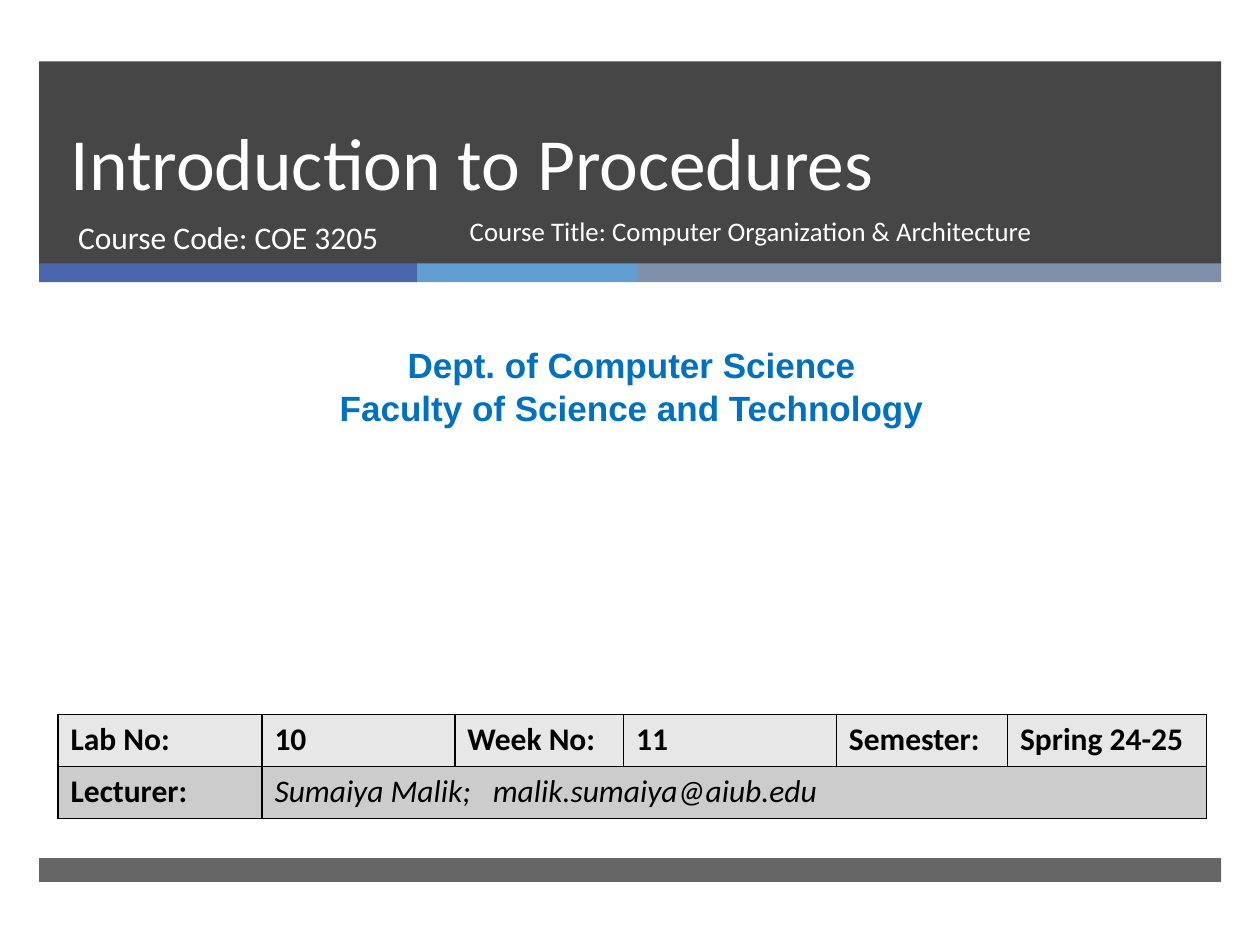
from dataclasses import dataclass
from itertools import accumulate

from lxml import etree
from pptx import Presentation
from pptx.dml.color import RGBColor
from pptx.enum import shapes, text
from pptx.oxml import ns
from pptx.util import Cm, Pt


@dataclass(frozen=True)
class Theme:
    dark: str = "262626"
    white: str = "FFFFFF"
    black: str = "000000"
    blue: str = "0070C0"
    strip: tuple = ("4A66AC", "629DD1", "7F8FA9")
    rows: tuple = ("E7E7E7", "CCCCCC")
    face: str = "Calibri"
    alt: str = "Arial"
    head: float = 42
    body: float = 18
    note: float = 15.3
    dept: float = 20


@dataclass(frozen=True)
class Box:
    left: float
    top: float
    width: float
    height: float

    def cm(self) -> tuple:
        return tuple(Cm(v) for v in (self.left, self.top, self.width, self.height))


@dataclass(frozen=True)
class Bar:
    box: Box
    color: str
    alpha: int = 100


T = Theme()
LEFT, WIDE = 0.79, 23.83
PARTS = (7.62, 4.45, 11.76)
STARTS = accumulate(PARTS[:-1], initial=LEFT)
BARS = [
    Bar(Box(LEFT, 1.24, WIDE, 4.09), T.dark, 85),
    *(Bar(Box(x, 5.31, w, 0.38), c) for x, w, c in zip(STARTS, PARTS, T.strip)),
    Bar(Box(LEFT, 17.3, WIDE, 0.48), T.dark, 70),
]
COLS = (4.11, 3.89, 3.4, 4.29, 3.45, 4.01)
ROW = 1.05
CELLS = (
    ("Lab No:", "10", "Week No:", "11", "Semester:", "Spring 24-25"),
    ("Lecturer:", "Sumaiya Malik;\tmalik.sumaiya@aiub.edu"),
)
EDGES = ("lnL", "lnR", "lnT", "lnB")


def put(item, vals: dict) -> None:
    for key, val in vals.items():
        setattr(item, key, val)


def node(base, tag: str, **attrs):
    return etree.SubElement(base, ns.qn(f"a:{tag}"), attrs)


def style(par, size: float, color: str, face: str = T.face, form=None, **font) -> None:
    """Format a paragraph (form) and all its text (font)."""
    put(par, {"space_before": Pt(0), "line_spacing": 1.0, **(form or {})})
    for run in par.runs:
        put(run.font, {"name": face, "size": Pt(size), "bold": False, **font})
        run.font.color.rgb = RGBColor.from_string(color)


def draw_bar(slide, bar: Bar) -> None:
    shape = slide.shapes.add_shape(shapes.MSO_SHAPE.RECTANGLE, *bar.box.cm())
    shape.shadow.inherit = False
    shape.line.fill.background()
    shape.fill.solid()
    shape.fill.fore_color.rgb = RGBColor.from_string(bar.color)
    if bar.alpha < 100:
        tint = shape.fill._xPr.find(".//" + ns.qn("a:srgbClr"))
        node(tint, "alpha", val=str(bar.alpha * 1000))


def fill_text(shape, box: Box, words: str, anchor=text.MSO_ANCHOR.TOP, **look) -> None:
    put(shape, dict(zip(("left", "top", "width", "height"), box.cm())))
    frame = shape.text_frame
    put(frame, {"text": words, "word_wrap": True, "vertical_anchor": anchor,
                "auto_size": text.MSO_AUTO_SIZE.NONE})
    for par in frame.paragraphs:
        style(par, **look)


def draw_cell(cell, words: str, fill: str, **font) -> None:
    cell.text = words
    par = cell.text_frame.paragraphs[0]
    if "\t" in words:
        tabs = node(par._p.get_or_add_pPr(), "tabLst")
        node(tabs, "tab", pos=str(Cm(4.4)), algn="l")
    style(par, T.body, T.black, **font)


def frame_cell(cell, fill: str) -> None:
    """Draw the four borders, then the fill that must follow them."""
    props = cell._tc.get_or_add_tcPr()
    for edge in EDGES:
        line = node(props, edge, w=str(Pt(1)))
        node(node(line, "solidFill"), "srgbClr", val=T.black)
    cell.fill.solid()
    cell.fill.fore_color.rgb = RGBColor.from_string(fill)


def draw_table(slide) -> None:
    box = Box(1.17, 14.4, sum(COLS), ROW * len(CELLS))
    grid = slide.shapes.add_table(len(CELLS), len(COLS), *box.cm()).table
    put(grid, {"first_row": False, "horz_banding": False})
    for col, wide in zip(grid.columns, COLS):
        col.width = Cm(wide)
    for r, (row, fill) in enumerate(zip(CELLS, T.rows)):
        grid.rows[r].height = Cm(ROW)
        for c, words in enumerate(row):
            name = "\t" in words
            draw_cell(grid.cell(r, c), words, fill, bold=not name, italic=name)
        for c in range(len(COLS)):
            frame_cell(grid.cell(r, c), fill)
    grid.cell(1, 1).merge(grid.cell(1, len(COLS) - 1))


def main() -> None:
    deck = Presentation()
    put(deck, {"slide_width": Cm(25.4), "slide_height": Cm(19.05)})
    slide = deck.slides.add_slide(deck.slide_layouts[0])
    title, code = slide.placeholders
    for bar in BARS:
        draw_bar(slide, bar)
    for hold in (title, code):  # bring in front of the bars
        slide.shapes._spTree.append(hold._element)

    left = text.PP_ALIGN.LEFT
    fill_text(title, Box(1.17, 1.24, 21.69, 3.02), "Introduction to Procedures",
              text.MSO_ANCHOR.BOTTOM, size=T.head, color=T.white,
              form={"alignment": left, "line_spacing": Pt(46)})
    fill_text(code, Box(1.32, 4.27, 7.75, 1.35), "Course Code: COE 3205",
              size=T.body, color=T.white, form={"alignment": left})

    dept = Box(0.2, 6.81, 25.07, 1.96)
    fill_text(slide.shapes.add_textbox(*dept.cm()), dept,
              "Dept. of Computer Science\nFaculty of Science and Technology",
              size=T.dept, color=T.blue, face=T.alt, bold=True,
              form={"alignment": text.PP_ALIGN.CENTER})
    draw_table(slide)
    course = Box(9.22, 4.27, 11.91, 1.35)
    fill_text(slide.shapes.add_textbox(*course.cm()), course,
              "Course Title: Computer Organization & Architecture",
              size=T.note, color=T.white, form={"line_spacing": 0.9})
    deck.save("out.pptx")


if __name__ == "__main__":
    main()
